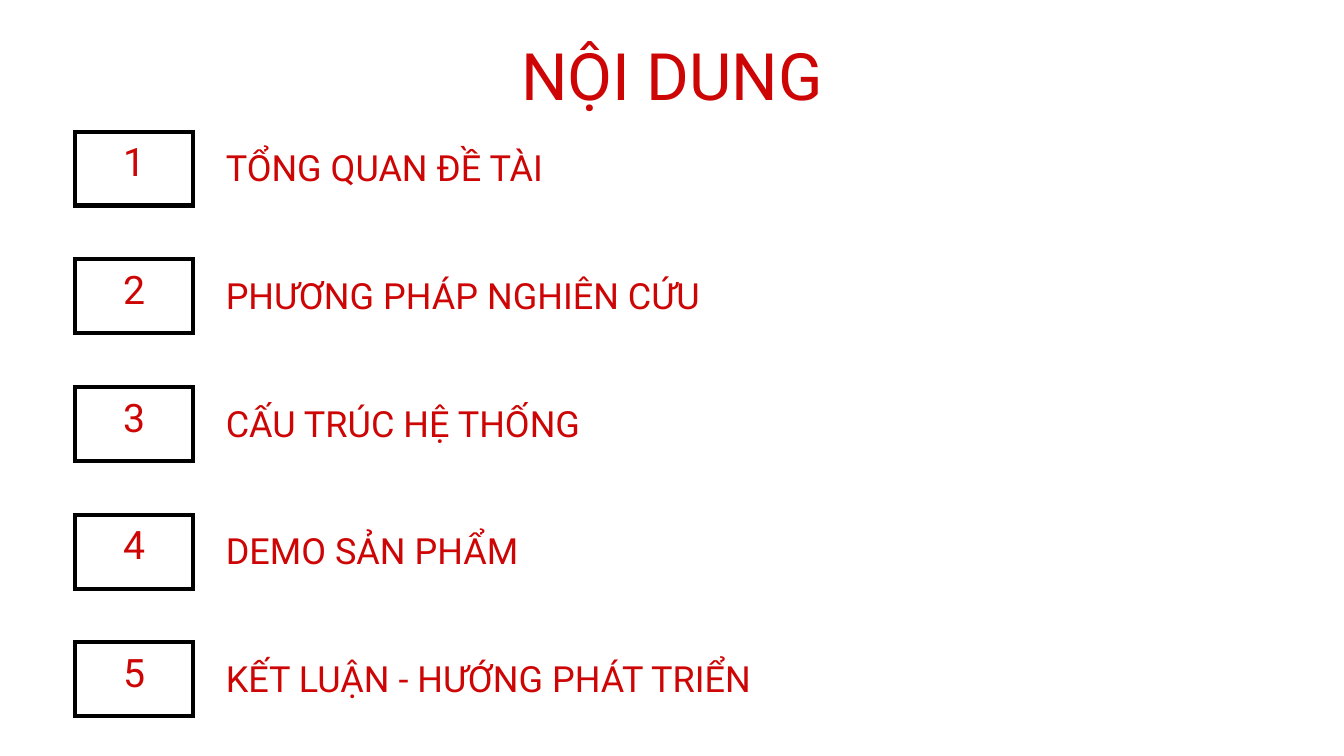
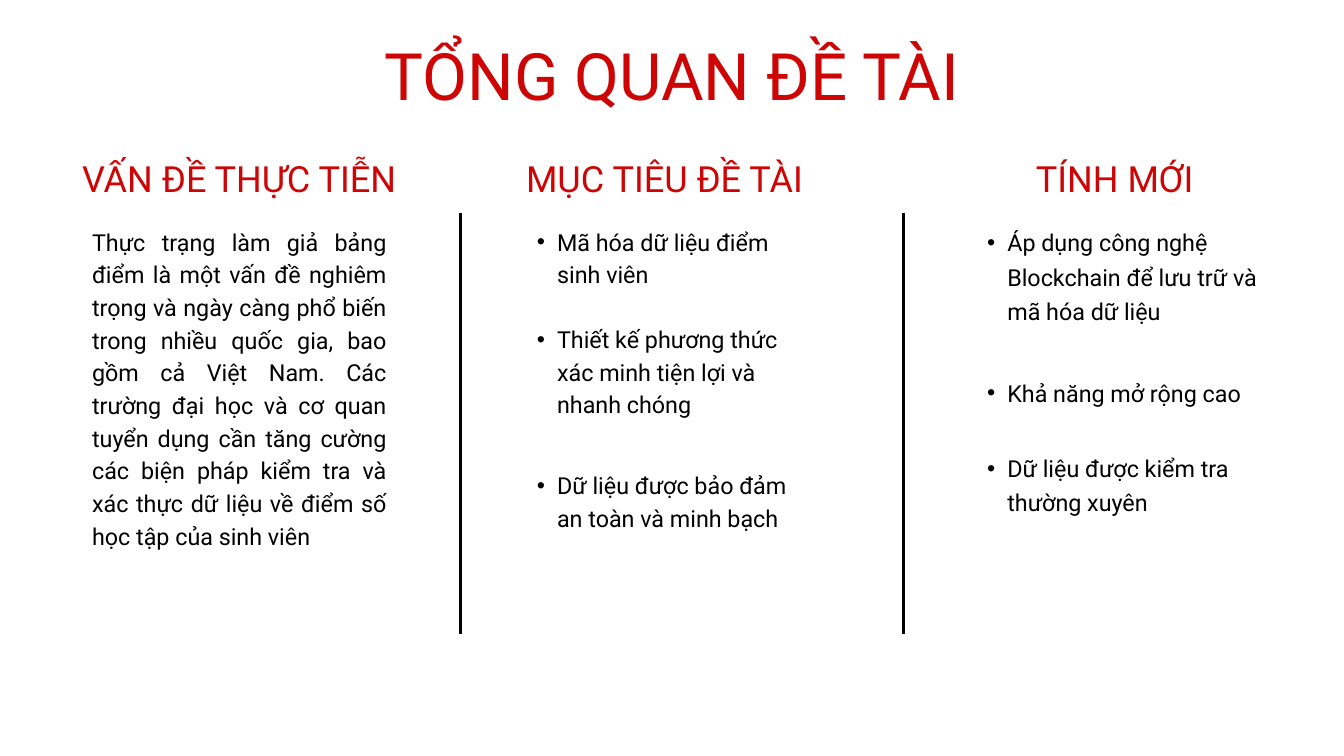
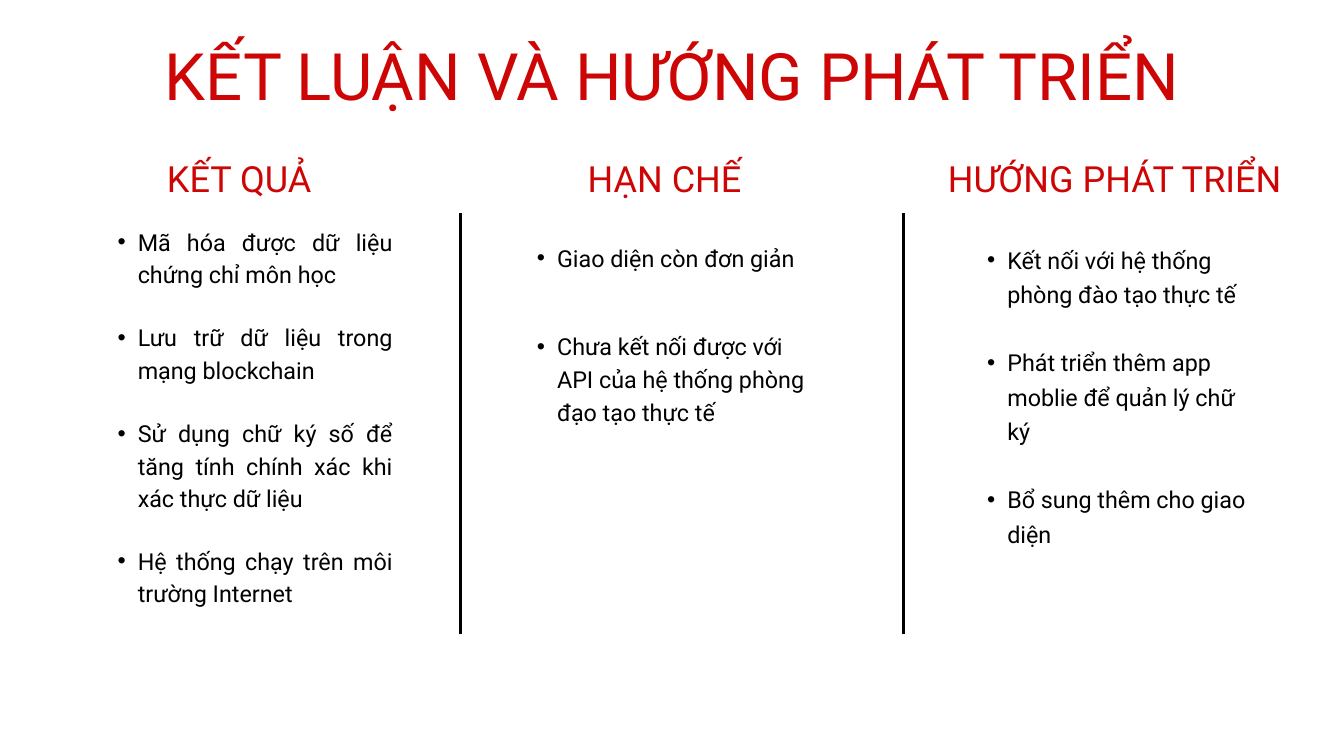
from lxml import etree
from pptx import Presentation
from pptx.dml.color import RGBColor
from pptx.enum import shapes, text
from pptx.oxml.ns import qn
from pptx.util import Inches, Pt

RED = RGBColor(0xCD, 0x05, 0x05)
BLACK = RGBColor(0, 0, 0)
FONT = "Roboto"
SLIDE_WIDTH, SLIDE_HEIGHT = 20, 11.25
TITLE_ONLY = 5

# Text styles: size and line spacing in points
TITLE = {"size": 70, "spacing": 84, "color": RED, "align": text.PP_ALIGN.CENTER}
HEADING = {"size": 38.6, "spacing": 46.4, "color": RED, "align": text.PP_ALIGN.CENTER}
AGENDA = {**HEADING, "align": text.PP_ALIGN.LEFT}
NUMBER = {"size": 42, "spacing": 58.8, "color": RED, "align": text.PP_ALIGN.CENTER}
BODY = {"size": 25, "spacing": 35, "color": BLACK, "align": text.PP_ALIGN.LEFT}
LOOSE_BODY = {**BODY, "spacing": 37}
JUSTIFIED = {**BODY, "align": text.PP_ALIGN.JUSTIFY}

# Three-column grid
COLUMN_LEFTS = (1, 7.33, 14.03)
HEADING_WIDTH, BODY_WIDTH = 5.12, 4.38
BODY_INSET = (HEADING_WIDTH - BODY_WIDTH) / 2
LINE_HEIGHTS = {35: 0.48, 37: 0.51}
DIVIDERS = (6.85, 13.45)
DIVIDER_TOP, DIVIDER_BOTTOM = 3.17, 9.44

# Agenda rows
ROW_TOP, ROW_STEP = 1.96, 1.9


class Deck:
    def __init__(self):
        self.deck = Presentation()
        self.deck.slide_width = Inches(SLIDE_WIDTH)
        self.deck.slide_height = Inches(SLIDE_HEIGHT)
        self.page = None

    def add_page(self, title, title_width=9.85):
        self.page = self.deck.slides.add_slide(self.deck.slide_layouts[TITLE_ONLY])
        box = self.page.shapes.title
        place = {"left": (SLIDE_WIDTH - title_width) / 2, "top": 0.52,
                 "width": title_width, "height": 1.19}
        for name, value in place.items():
            setattr(box, name, Inches(value))
        self.set_text(box, title, TITLE)

    def set_text(self, box, words, style, inset=0, anchor=text.MSO_ANCHOR.TOP,
                 fit=text.MSO_AUTO_SIZE.SHAPE_TO_FIT_TEXT):
        frame = box.text_frame
        settings = {"word_wrap": True, "auto_size": fit, "vertical_anchor": anchor}
        for side in ("left", "top", "right", "bottom"):
            settings[f"margin_{side}"] = Inches(inset)
        for name, value in settings.items():
            setattr(frame, name, value)
        para = frame.paragraphs[0]
        para.alignment = style["align"]
        para.line_spacing = Pt(style["spacing"])
        span = para.add_run()
        span.text = words
        for name, value in {"name": FONT, "size": Pt(style["size"])}.items():
            setattr(span.font, name, value)
        span.font.color.rgb = style["color"]
        return para

    def label(self, left, top, width, height, words, style, **options):
        box = self.page.shapes.add_textbox(*map(Inches, (left, top, width, height)))
        return self.set_text(box, words, style, **options)

    def bullet(self, left, top, lines, words, style):
        height = lines * LINE_HEIGHTS[style["spacing"]]
        para = self.label(left, top, BODY_WIDTH, height, words, style)
        para.level = 1
        settings = para._p.get_or_add_pPr()
        settings.set("marL", str(Inches(0.59)))
        settings.set("indent", str(Inches(-0.3)))
        etree.SubElement(settings, qn("a:buFont")).set("typeface", "Arial")
        etree.SubElement(settings, qn("a:buChar")).set("char", "•")

    def frame(self, left, top, width, height):
        box = self.page.shapes.add_shape(
            shapes.MSO_SHAPE.RECTANGLE, *map(Inches, (left, top, width, height)))
        box.shadow.inherit = False
        box.fill.background()
        box.line.color.rgb = BLACK
        box.line.width = Pt(4.5)
        outline = box.element.spPr.find(qn("a:ln"))
        etree.SubElement(outline, qn("a:miter")).set("lim", "800000")

    def divider(self, x):
        line = self.page.shapes.add_connector(
            shapes.MSO_CONNECTOR.STRAIGHT,
            *map(Inches, (x, DIVIDER_BOTTOM, x, DIVIDER_TOP)))
        line.line.color.rgb = BLACK
        line.line.width = Pt(3)
        etree.SubElement(line.element.spPr, qn("a:effectLst"))

    def agenda_row(self, index, words):
        top = ROW_TOP + index * ROW_STEP
        self.frame(1.12, top, 1.75, 1.1)
        self.label(1.12, top - 0.33, 1.75, 1.42, str(index + 1), NUMBER, inset=0.06,
                   anchor=text.MSO_ANCHOR.MIDDLE, fit=text.MSO_AUTO_SIZE.NONE)
        self.label(3.36, top + 0.21, 9.07, 0.65, words, AGENDA)

    def columns(self, headings):
        for left, heading in zip(COLUMN_LEFTS, headings):
            self.label(left, 2.33, HEADING_WIDTH, 0.65, heading, HEADING)
        for x in DIVIDERS:
            self.divider(x)

    def bullets(self, column, items, style, shift=0):
        left = COLUMN_LEFTS[column] + BODY_INSET + shift
        for top, lines, words in items:
            self.bullet(left, top, lines, words, style)


def main():
    show = Deck()

    # Agenda
    show.add_page("NỘI DUNG")
    topics = ("TỔNG QUAN ĐỀ TÀI", "PHƯƠNG PHÁP NGHIÊN CỨU", "CẤU TRÚC HỆ THỐNG",
              "DEMO SẢN PHẨM", "KẾT LUẬN - HƯỚNG PHÁT TRIỂN")
    for index, topic in enumerate(topics):
        show.agenda_row(index, topic)

    # Overview; each bullet is (top, lines, words)
    show.add_page("TỔNG QUAN ĐỀ TÀI")
    show.columns(("VẤN ĐỀ THỰC TIỄN", "MỤC TIÊU ĐỀ TÀI", "TÍNH MỚI"))
    show.label(COLUMN_LEFTS[0] + BODY_INSET, 3.32, BODY_WIDTH, 4.77,
               "Thực trạng làm giả bảng điểm là một vấn đề nghiêm trọng và ngày càng "
               "phổ biến trong nhiều quốc gia, bao gồm cả Việt Nam. Các trường đại học "
               "và cơ quan tuyển dụng cần tăng cường các biện pháp kiểm tra và xác thực "
               "dữ liệu về điểm số học tập của sinh viên", JUSTIFIED)
    show.bullets(1, (
        (3.32, 2, "Mã hóa dữ liệu điểm sinh viên"),
        (4.77, 3, "Thiết kế phương thức xác minh tiện lợi và nhanh chóng"),
        (6.94, 2, "Dữ liệu được bảo đảm an toàn và minh bạch"),
    ), BODY)
    show.bullets(2, (
        (3.3, 3, "Áp dụng công nghệ Blockchain để lưu trữ và mã hóa dữ liệu"),
        (5.54, 1, "Khả năng mở rộng cao"),
        (6.66, 2, "Dữ liệu được kiểm tra thường xuyên"),
    ), LOOSE_BODY)

    # Conclusion
    show.add_page("KẾT LUẬN VÀ HƯỚNG PHÁT TRIỂN", title_width=15.65)
    show.columns(("KẾT QUẢ", "HẠN CHẾ", "HƯỚNG PHÁT TRIỂN"))
    show.bullets(0, (
        (3.32, 2, "Mã hóa được dữ liệu chứng chỉ môn học"),
        (4.74, 2, "Lưu trữ dữ liệu trong mạng blockchain"),
        (6.17, 3, "Sử dụng chữ ký số để tăng tính chính xác khi xác thực dữ liệu"),
        (8.07, 2, "Hệ thống chạy trên môi trường Internet"),
    ), JUSTIFIED, shift=0.09)
    show.bullets(1, (
        (3.56, 1, "Giao diện còn đơn giản"),
        (4.88, 3, "Chưa kết nối được với API của hệ thống phòng đạo tạo thực tế"),
    ), BODY)
    show.bullets(2, (
        (3.56, 2, "Kết nối với hệ thống phòng đào tạo thực tế"),
        (5.09, 3, "Phát triển thêm app moblie để quản lý chữ ký"),
        (7.13, 2, "Bổ sung thêm cho giao diện"),
    ), LOOSE_BODY)

    show.deck.save("out.pptx")


if __name__ == "__main__":
    main()
